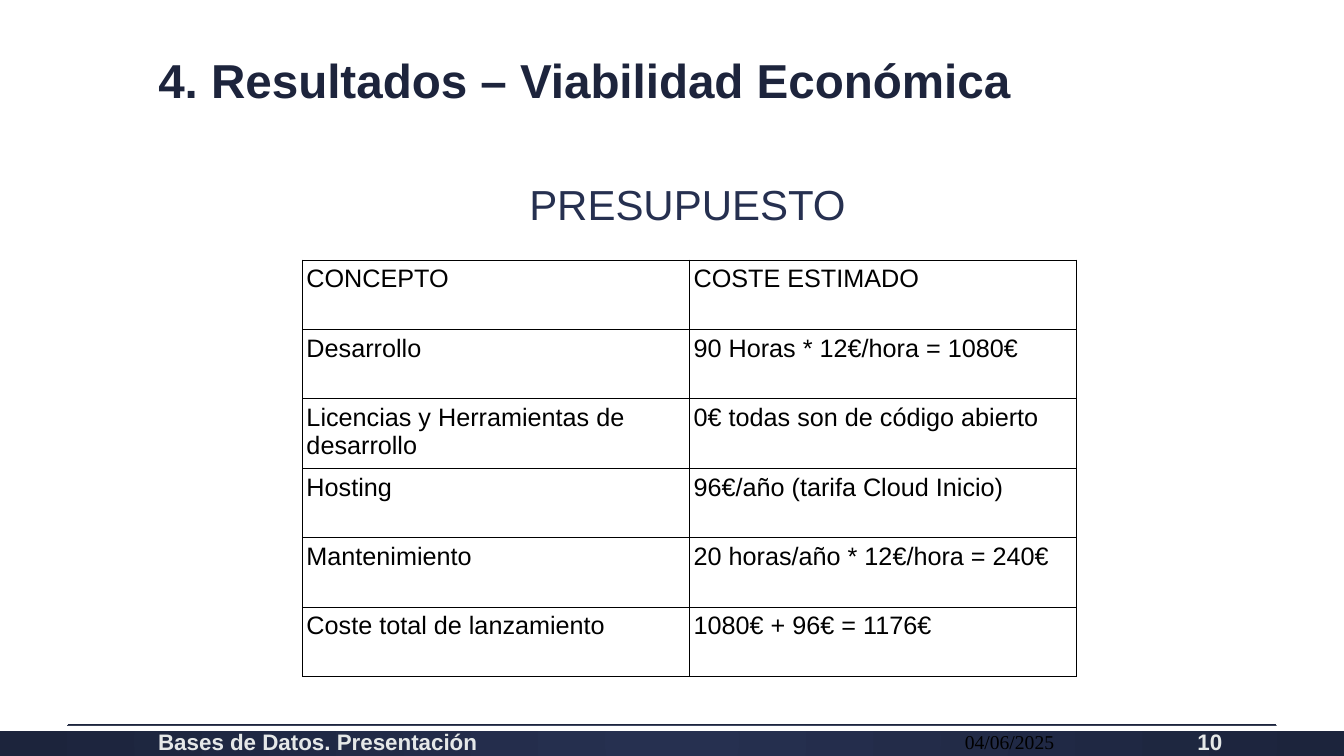
import pptx
import pptx.dml.color
import pptx.enum.shapes
import pptx.enum.text
import pptx.oxml.ns
import pptx.util
from lxml import etree
from pptx.util import Inches

ALIGN = pptx.enum.text.PP_ALIGN
ANCHOR = pptx.enum.text.MSO_ANCHOR
NAVY = "1C243C"
INDIGO = "263050"
BLACK = "000000"
FOOTER_FONT = {"size": 16, "color": "E5E8E8", "bold": True}

BUDGET = [
    ("CONCEPTO", "COSTE ESTIMADO"),
    ("Desarrollo", "90 Horas * 12€/hora = 1080€"),
    ("Licencias y Herramientas de desarrollo", "0€ todas son de código abierto"),
    ("Hosting", "96€/año (tarifa Cloud Inicio)"),
    ("Mantenimiento", "20 horas/año * 12€/hora = 240€"),
    ("Coste total de lanzamiento", "1080€ + 96€ = 1176€"),
]


def rgb(value):
    return pptx.dml.color.RGBColor.from_string(value)


def add_element(parent, tag, **attributes):
    element = etree.SubElement(parent, pptx.oxml.ns.qn(tag))
    for name, value in attributes.items():
        element.set(name, str(value))
    return element


def write(paragraph, text, size, color, name="Arial", bold=False, **layout):
    paragraph.text = text
    for attribute, value in layout.items():
        setattr(paragraph, attribute, value)
    font = paragraph.font
    formats = {"size": pptx.util.Pt(size), "name": name, "bold": bold}
    for attribute, value in formats.items():
        setattr(font, attribute, value)
    font.color.rgb = rgb(color)


def place(shape, left, top, width, height):
    bounds = {"left": left, "top": top, "width": width, "height": height}
    for attribute, value in bounds.items():
        setattr(shape, attribute, Inches(value))


def set_frame(shape, anchor):
    frame = shape.text_frame
    formats = {
        "word_wrap": True,
        "auto_size": pptx.enum.text.MSO_AUTO_SIZE.NONE,
        "vertical_anchor": anchor,
    }
    for attribute, value in formats.items():
        setattr(frame, attribute, value)
    return frame.paragraphs[0]


def add_band(slide, top, height):
    band = slide.shapes.add_shape(
        pptx.enum.shapes.MSO_SHAPE.RECTANGLE, 0, Inches(top), Inches(13.33), Inches(height)
    )
    band.shadow.inherit = False
    band.line.fill.background()
    return band


def add_footer_bands(slide):
    band = add_band(slide, 7.2, 0.3)
    band.fill.gradient()
    for stop, color in zip(band.fill.gradient_stops, (INDIGO, NAVY)):
        stop.color.rgb = rgb(color)
    gradient = band.element.spPr.find(pptx.oxml.ns.qn("a:gradFill"))
    gradient.remove(gradient.find(pptx.oxml.ns.qn("a:lin")))
    circle = add_element(gradient, "a:path", path="circle")
    add_element(circle, "a:fillToRect", l=50000, t=50000, r=50000, b=50000)

    strip = add_band(slide, 7.2, 0.05)
    strip.fill.solid()
    strip.fill.fore_color.rgb = rgb("FFFFFF")


def add_footer_rule(slide):
    rule = slide.shapes.add_connector(
        pptx.enum.shapes.MSO_CONNECTOR.STRAIGHT,
        Inches(0.67), Inches(7.19), Inches(12.66), Inches(7.19),
    )
    rule.line.width = pptx.util.Pt(0.5)
    rule.line.color.rgb = rgb(NAVY)
    add_element(rule.element.spPr, "a:effectLst")


def add_footer_text(slide, text, left, width, alignment=ALIGN.LEFT, **font):
    box = slide.shapes.add_textbox(Inches(left), Inches(7.23), Inches(width), Inches(0.26))
    write(set_frame(box, ANCHOR.MIDDLE), text, alignment=alignment, **font)


def add_borders(cell):
    properties = cell._tc.get_or_add_tcPr()
    for side in ("a:lnL", "a:lnR", "a:lnT", "a:lnB"):
        line = add_element(properties, side, w=pptx.util.Pt(0.57))
        add_element(add_element(line, "a:solidFill"), "a:srgbClr", val=BLACK)


def add_budget_table(slide):
    table = slide.shapes.add_table(
        len(BUDGET), 2, Inches(3), Inches(2.58), Inches(7.68), Inches(4.13)
    ).table
    table.first_row = False
    table.horz_banding = False
    margins = {"margin_left": 0.04, "margin_right": 0.04, "margin_top": 0.05, "margin_bottom": 0.05}
    for row, texts in zip(table.rows, BUDGET):
        for cell, text in zip(row.cells, texts):
            for attribute, value in margins.items():
                setattr(cell, attribute, Inches(value))
            write(cell.text_frame.paragraphs[0], text, 18, BLACK)
            add_borders(cell)
            cell.fill.background()


def fill_title(slide):
    title = slide.shapes.title
    place(title, 1.47, 0.51, 10.4, 0.62)
    write(
        set_frame(title, ANCHOR.BOTTOM), "4. Resultados – Viabilidad Económica",
        34, "1D243C", bold=True, alignment=ALIGN.LEFT, line_spacing=0.9,
    )


def fill_body(slide):
    body = slide.placeholders[1]
    place(body, 1.47, 1.47, 10.4, 5.12)
    paragraph = set_frame(body, ANCHOR.TOP)
    write(
        paragraph, "PRESUPUESTO", 30, INDIGO,
        alignment=ALIGN.CENTER, line_spacing=1.5, space_before=pptx.util.Pt(0),
    )
    properties = paragraph._p.get_or_add_pPr()
    properties.set("marL", str(Inches(0.3)))
    properties.set("indent", "0")
    bullet = add_element(properties, "a:buNone")
    properties.find(pptx.oxml.ns.qn("a:defRPr")).addprevious(bullet)


def main():
    presentation = pptx.Presentation()
    presentation.slide_width = Inches(13.33)
    presentation.slide_height = Inches(7.5)
    slide = presentation.slides.add_slide(presentation.slide_layouts[1])
    add_footer_bands(slide)
    add_footer_rule(slide)
    fill_title(slide)
    fill_body(slide)
    add_budget_table(slide)
    add_footer_text(slide, "Bases de Datos. Presentación", 1.47, 7.83, **FOOTER_FONT)
    add_footer_text(slide, "10", 11.17, 1.05, ALIGN.RIGHT, **FOOTER_FONT)
    add_footer_text(slide, "04/06/2025", 9.47, 1.51, size=14, color=BLACK, name="Times New Roman")
    presentation.save("out.pptx")


if __name__ == "__main__":
    main()
